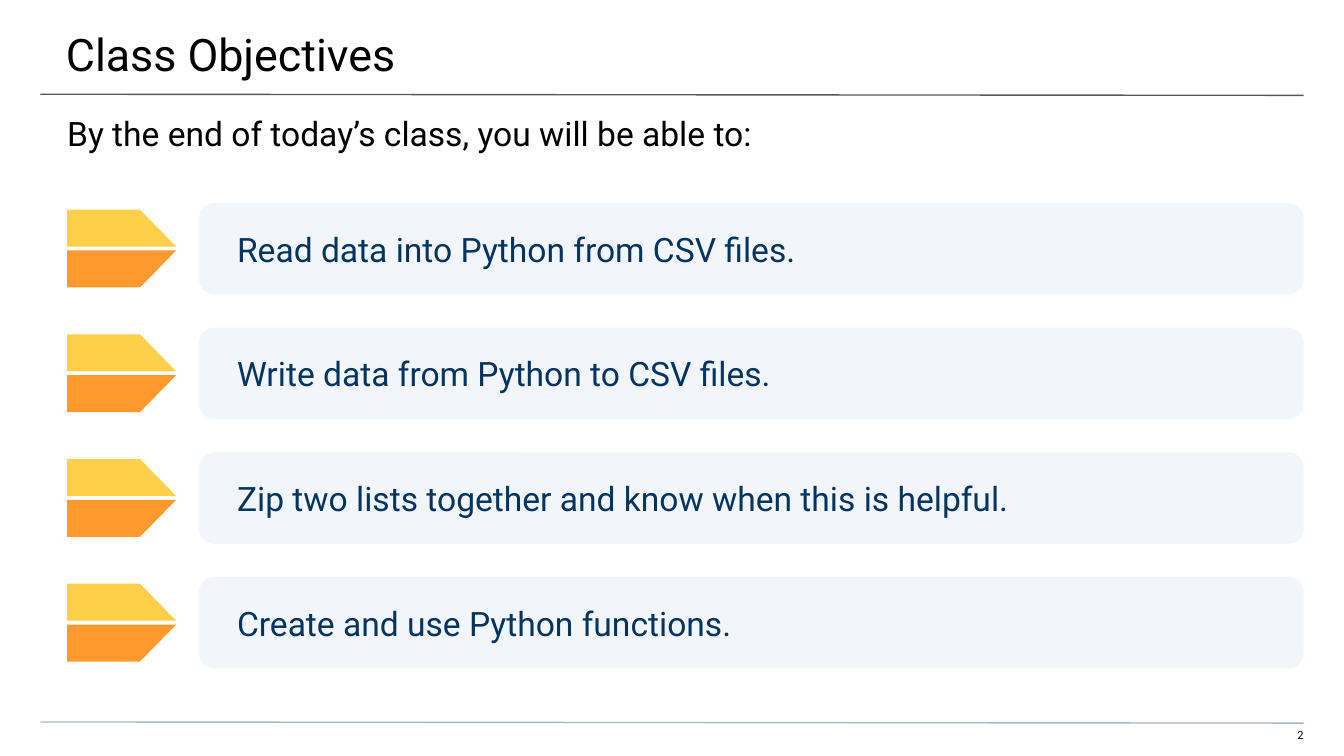
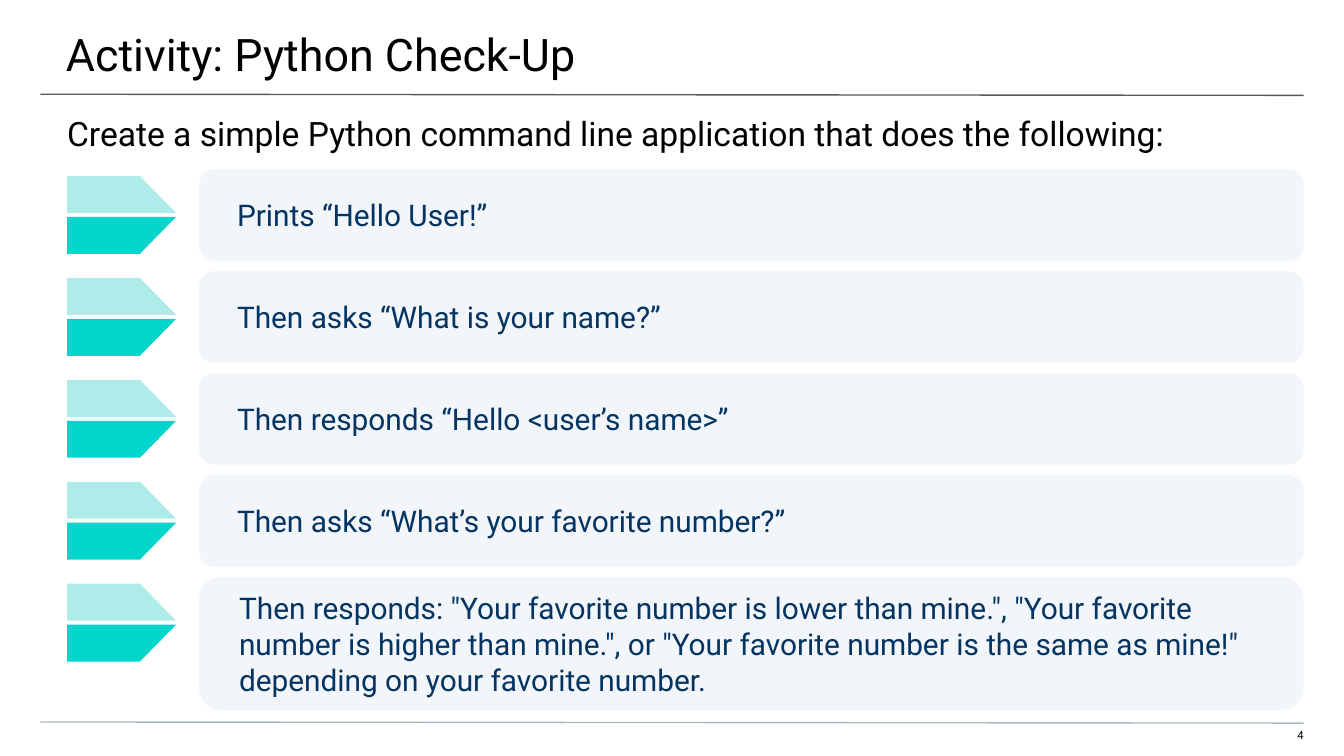
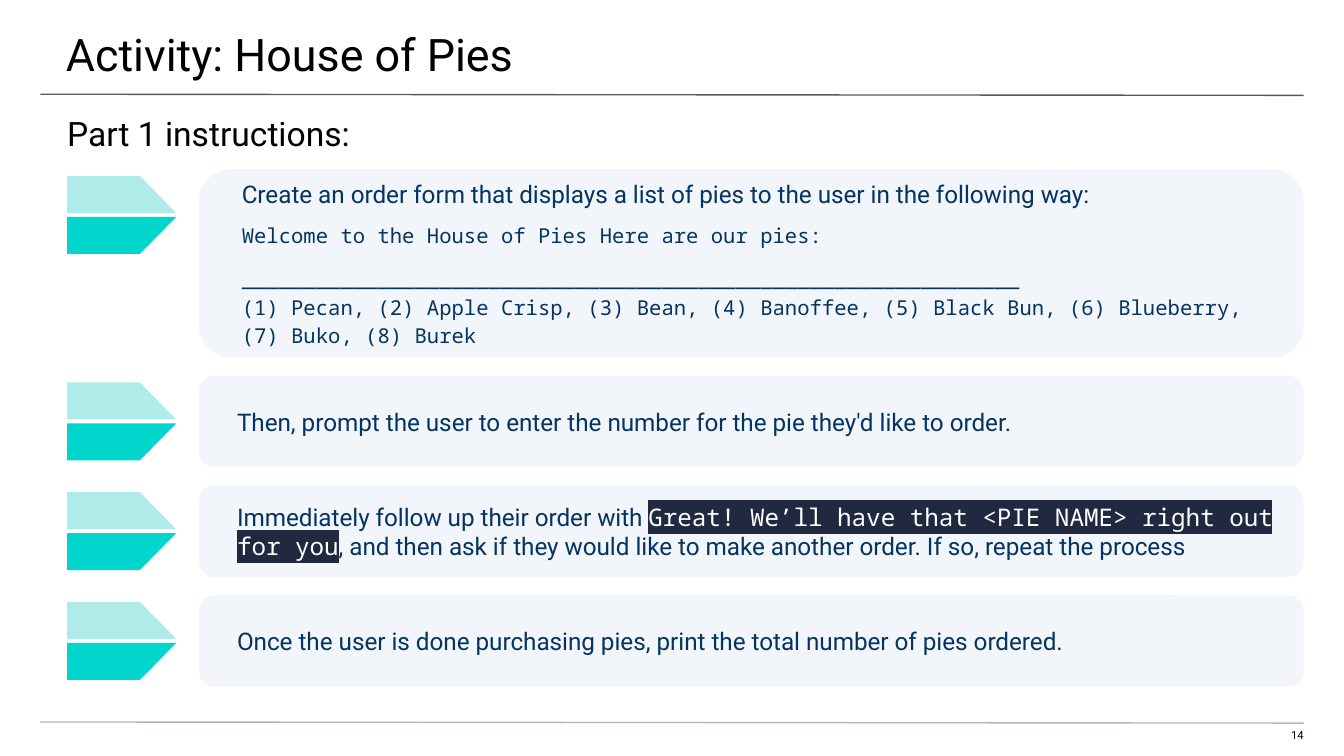
from dataclasses import dataclass

from lxml import etree
from pptx import Presentation
from pptx import util as u
from pptx.dml.color import RGBColor
from pptx.enum import shapes, text
from pptx.oxml import ns


@dataclass(frozen=True)
class Style:
    size: float
    color: str = "043461"
    font: str = "Roboto"
    highlight: str = ""
    space_before: float = 0
    line_spacing: float = 1.0


class Theme:
    card = "F2F5F9"
    title_rule = "595959"
    footer_rule = "A9B7C0"
    orange = ("FECF48", "FF992D")
    teal = ("AFECE9", "00D6CB")
    title = Style(24, "000000")
    subtitle = Style(18, "000000")
    page_number = Style(6, "000000")
    objective = Style(18)
    step = Style(16)
    instruction = Style(13)
    code = Style(13, "FFFFFF", "Noto Sans Mono", "212940")
    welcome = Style(11, font="Noto Sans Mono", space_before=8)
    divider = Style(11, font="Noto Sans Mono", space_before=8, line_spacing=1.15)
    menu = Style(11, font="Noto Sans Mono", line_spacing=1.15)


# Layout in points
CARD_LEFT, CARD_WIDTH, CARD_HEIGHT = 106.6, 591.8, 49
ARROW_LEFT, ARROW_TIP, ARROW_SHOULDER = 36, 94.4, 75
ARROW_INSET, ARROW_HALF, ARROW_STEP = 3.6, 19.8, 21.9


def write_text(shape, paragraphs, margins, alignment=text.PP_ALIGN.LEFT):
    """Fill a shape; each paragraph is a list of (words, style) runs."""
    frame = shape.text_frame
    frame.word_wrap = True
    frame.margin_left, frame.margin_top, frame.margin_right, frame.margin_bottom = map(u.Pt, margins)
    for index, runs in enumerate(paragraphs):
        paragraph = frame.add_paragraph() if index else frame.paragraphs[0]
        paragraph.alignment = alignment
        paragraph.space_before = u.Pt(runs[0][1].space_before)
        paragraph.line_spacing = runs[0][1].line_spacing
        for words, style in runs:
            run = paragraph.add_run()
            run.text = words
            run.font.size = u.Pt(style.size)
            run.font.name = style.font
            run.font.color.rgb = RGBColor.from_string(style.color)
            if style.highlight:
                highlight = etree.Element(ns.qn("a:highlight"))
                etree.SubElement(highlight, ns.qn("a:srgbClr"), val=style.highlight)
                run.font.fill  # the highlight must follow the run's fill
                run._r.get_or_add_rPr().find(ns.qn("a:solidFill")).addnext(highlight)


def paint(shape, color):
    shape.shadow.inherit = False
    shape.fill.solid()
    shape.fill.fore_color.rgb = RGBColor.from_string(color)
    shape.line.fill.background()


# Content: each card is (height, paragraphs)
objectives = [
    "Read data into Python from CSV files.",
    "Write data from Python to CSV files.",
    "Zip two lists together and know when this is helpful.",
    "Create and use Python functions.",
]
steps = [
    "Prints “Hello User!”",
    "Then asks “What is your name?”",
    "Then responds “Hello <user’s name>”",
    "Then asks “What’s your favorite number?”",
]
answer = (
    'Then responds: "Your favorite number is lower than mine.", '
    '"Your favorite number is higher than mine.", or '
    '"Your favorite number is the same as mine!" depending on your favorite number.'
)
order_form = [
    [("Create an order form that displays a list of pies to the user in the following way:",
      Theme.instruction)],
    [("Welcome to the House of Pies Here are our pies:", Theme.welcome)],
    [("_" * 63, Theme.divider)],
    [("(1) Pecan, (2) Apple Crisp, (3) Bean, (4) Banoffee, (5) Black Bun, "
      "(6) Blueberry, (7) Buko, (8) Burek", Theme.menu)],
]
follow_up = [
    ("Immediately follow up their order with ", Theme.instruction),
    ("Great! We’ll have that <PIE NAME> right out for you", Theme.code),
    (", and then ask if they would like to make another order. If so, repeat the process",
     Theme.instruction),
]
prompt = "Then, prompt the user to enter the number for the pie they'd like to order."
total = "Once the user is done purchasing pies, print the total number of pies ordered."

# Page number, title, subtitle, arrow colours, first card top, card gap, cards
pages = [
    ("2", "Class Objectives", "By the end of today’s class, you will be able to:",
     Theme.orange, 108.7, 17.8,
     [(CARD_HEIGHT, [[(words, Theme.objective)]]) for words in objectives]),
    ("4", "Activity: Python Check-Up",
     "Create a simple Python command line application that does the following:",
     Theme.teal, 90.7, 5.6,
     [(CARD_HEIGHT, [[(words, Theme.step)]]) for words in steps]
     + [(71.3, [[(answer, Theme.step)]])]),
    ("14", "Activity: House of Pies", "Part 1 instructions:",
     Theme.teal, 90.7, 9.8,
     [(100.8, order_form),
      (CARD_HEIGHT, [[(prompt, Theme.instruction)]]),
      (CARD_HEIGHT, [follow_up]),
      (CARD_HEIGHT, [[(total, Theme.instruction)]])]),
]

presentation = Presentation()
presentation.slide_width, presentation.slide_height = u.Pt(720), u.Pt(405)

for number, title, subtitle, arrow_colors, top, gap, cards in pages:
    slide = presentation.slides.add_slide(presentation.slide_layouts[6])

    # Rules under the title and above the footer
    for rule_top, color in ((50.5, Theme.title_rule), (386.8, Theme.footer_rule)):
        rule = slide.shapes.add_connector(
            shapes.MSO_CONNECTOR.STRAIGHT,
            u.Pt(21.6), u.Pt(rule_top), u.Pt(698.4), u.Pt(rule_top + 0.6))
        rule.line.width = u.Pt(0.75)
        rule.line.color.rgb = RGBColor.from_string(color)
        etree.SubElement(rule._element.spPr, ns.qn("a:effectLst"))

    # Title, subtitle and page number
    for words, style, box, margins, alignment in (
        (title, Theme.title, (-0.7, 0, 722, 41.8), (36, 14.4, 21.6, 7.2), text.PP_ALIGN.LEFT),
        (subtitle, Theme.subtitle, (0, 53.3, 720, 28.8), (36, 7.2, 36, 0), text.PP_ALIGN.LEFT),
        (number, Theme.page_number, (677.5, 390.2, 20.9, 8.6), (0, 0, 0, 7.2), text.PP_ALIGN.RIGHT),
    ):
        label = slide.shapes.add_textbox(*map(u.Pt, box))
        write_text(label, [[(words, style)]], margins, alignment)

    for height, paragraphs in cards:
        # Two-tone arrow: the lower half mirrors the upper one
        upper = top + ARROW_INSET
        lower = upper + ARROW_STEP
        for outer, inner, color in (
            (upper, upper + ARROW_HALF, arrow_colors[0]),
            (lower + ARROW_HALF, lower, arrow_colors[1]),
        ):
            outline = slide.shapes.build_freeform(u.Pt(ARROW_LEFT), u.Pt(outer))
            outline.add_line_segments([
                (u.Pt(ARROW_LEFT), u.Pt(inner)),
                (u.Pt(ARROW_TIP), u.Pt(inner)),
                (u.Pt(ARROW_SHOULDER), u.Pt(outer)),
            ], close=True)
            paint(outline.convert_to_shape(), color)

        # Card
        card = slide.shapes.add_shape(
            shapes.MSO_SHAPE.ROUNDED_RECTANGLE,
            u.Pt(CARD_LEFT), u.Pt(top), u.Pt(CARD_WIDTH), u.Pt(height))
        card.adjustments[0] = 0.167
        paint(card, Theme.card)
        card.text_frame.vertical_anchor = text.MSO_ANCHOR.MIDDLE
        write_text(card, paragraphs, (18, 7.2, 7.2, 7.2))
        top += height + gap

presentation.save("out.pptx")
